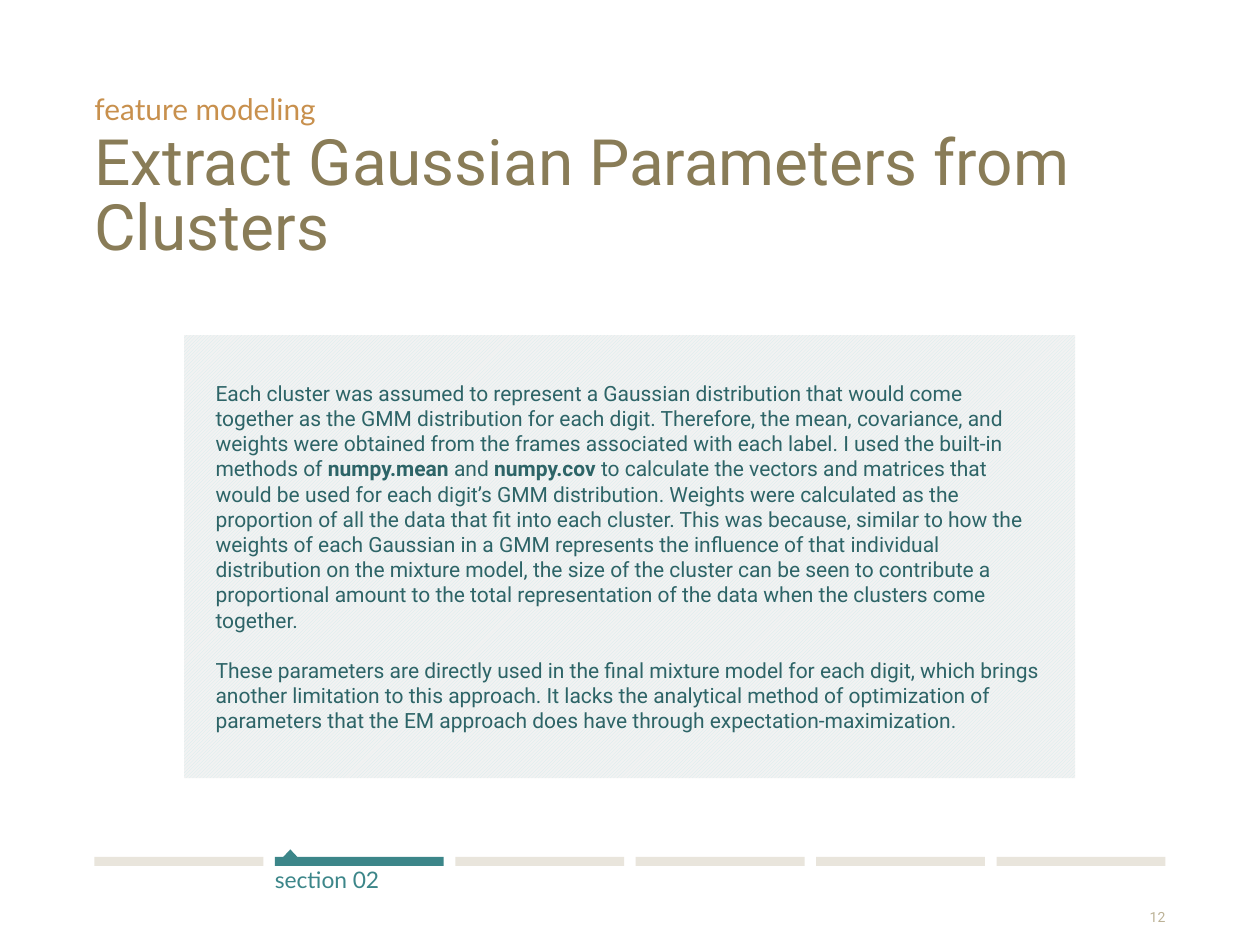
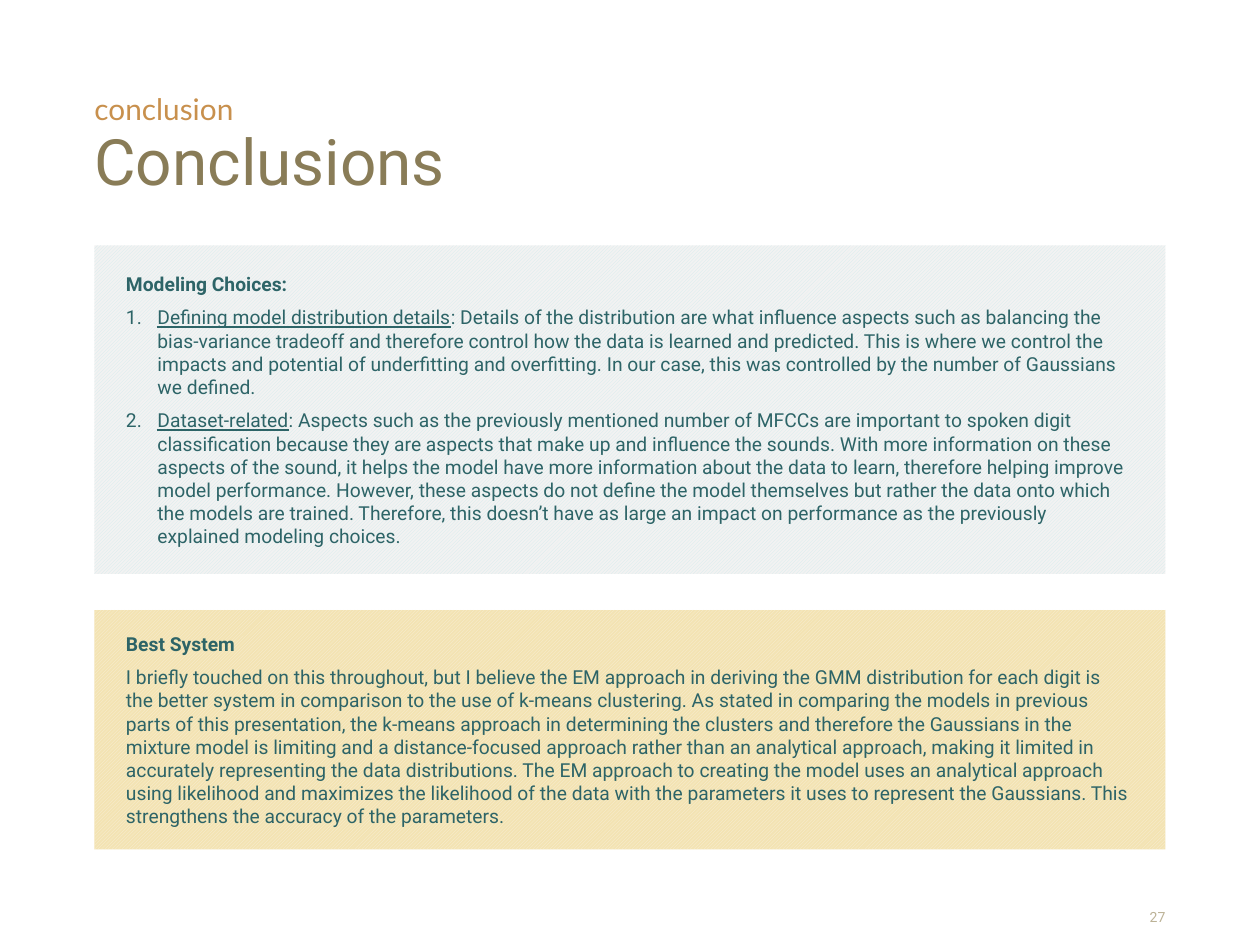
from dataclasses import dataclass

from pptx import Presentation
from pptx.dml.color import RGBColor
from pptx.enum.dml import MSO_PATTERN as Pattern
from pptx.enum.shapes import MSO_SHAPE as Form
from pptx.enum.text import MSO_ANCHOR as Anchor, PP_ALIGN as Align
from pptx.shapes.autoshape import Shape
from pptx.slide import Slide
from pptx.text.text import TextFrame
from pptx.util import Pt
from lxml.etree import SubElement
from pptx.oxml.ns import qn

OLIVE = RGBColor(0x89, 0x7C, 0x57)
ORANGE = RGBColor(0xC8, 0x90, 0x4D)
TEAL = RGBColor(0x3C, 0x86, 0x89)
INK = RGBColor(0x2D, 0x64, 0x67)
SAND = RGBColor(0xE9, 0xE5, 0xDC)
STONE = RGBColor(0xBC, 0xB2, 0x96)
MIST = RGBColor(0xF2, 0xF2, 0xF2)
AQUA = RGBColor(0xD3, 0xEB, 0xEC)
GOLD = RGBColor(0xF3, 0xE3, 0xB3)
CREAM = RGBColor(0xF9, 0xF1, 0xD9)

LEFT, WIDTH = 54, 612
BAR_TOP, BAR_TALL, BAR_GAP, BAR_COUNT = 489.6, 5.2, 6.6, 6
BAR_WIDE = (WIDTH - BAR_GAP * (BAR_COUNT - 1)) / BAR_COUNT
MARK_WIDE, MARK_TALL = 17.6, 9.4


@dataclass(frozen=True)
class Area:
    left: float
    top: float
    width: float
    height: float

    def lengths(self) -> list[Pt]:
        return [Pt(v) for v in (self.left, self.top, self.width, self.height)]


@dataclass(frozen=True)
class Style:
    size: float
    color: RGBColor
    font: str = "Roboto"
    line: float | None = None
    align: Align | None = None
    anchor: Anchor = Anchor.TOP


@dataclass(frozen=True)
class Piece:
    text: str
    bold: bool = False
    under: bool = False


@dataclass(frozen=True)
class Para:
    pieces: tuple[Piece, ...]
    after: float = 6
    number: bool = False


@dataclass(frozen=True)
class Panel:
    area: Area
    back: RGBColor
    stripe: RGBColor
    size: float
    paras: tuple[Para, ...]


@dataclass(frozen=True)
class Page:
    topic: str
    title: str
    number: int
    panels: tuple[Panel, ...]
    section: int | None = None


TITLE = Style(36.5, OLIVE, line=0.85)
TOPIC = Style(17, ORANGE, "Lato", line=0.85)
LABEL = Style(13, TEAL, "Lato")
NUMBER = Style(8, STONE, align=Align.RIGHT, anchor=Anchor.BOTTOM)

PAGES = (
    Page(
        "feature modeling", "Extract Gaussian Parameters from Clusters", 12,
        (Panel(Area(105.2, 191.5, 509.2, 253.2), MIST, AQUA, 12, (
            Para((
                Piece("Each cluster was assumed to represent a Gaussian distribution that would "
                      "come together as the GMM distribution for each digit. Therefore, the mean, "
                      "covariance, and weights were obtained from the frames associated with each "
                      "label. I used the built-in methods of "),
                Piece("numpy.mean ", bold=True),
                Piece("and "),
                Piece("numpy.cov ", bold=True),
                Piece("to calculate the vectors and matrices that would be used for each digit’s "
                      "GMM distribution. Weights were calculated as the proportion of all the data "
                      "that fit into each cluster. This was because, similar to how the weights of "
                      "each Gaussian in a GMM represents the influence of that individual "
                      "distribution on the mixture model, the size of the cluster can be seen to "
                      "contribute a proportional amount to the total representation of the data "
                      "when the clusters come together."),
            ), after=14.4),
            Para((
                Piece("These parameters are directly used in the final mixture model for each "
                      "digit, which brings another limitation to this approach. It lacks the "
                      "analytical method of optimization of parameters that the EM approach does "
                      "have through expectation-maximization."),
            ), after=0),
        )),),
        section=2,
    ),
    Page(
        "conclusion", "Conclusions", 27,
        (
            Panel(Area(LEFT, 140.3, WIDTH, 187.7), MIST, AQUA, 11, (
                Para((Piece("Modeling Choices:", bold=True),)),
                Para((
                    Piece("Defining model distribution details", under=True),
                    Piece(": Details of the distribution are what influence aspects such as "
                          "balancing the bias-variance tradeoff and therefore control how the data "
                          "is learned and predicted. This is where we control the impacts and "
                          "potential of underfitting and overfitting. In our case, this was "
                          "controlled by the number of Gaussians we defined."),
                ), number=True),
                Para((
                    Piece("Dataset-related", under=True),
                    Piece(": Aspects such as the previously mentioned number of MFCCs are "
                          "important to spoken digit classification because they are aspects that "
                          "make up and influence the sounds. With more information on these "
                          "aspects of the sound, it helps the model have more information about "
                          "the data to learn, therefore helping improve model performance. "
                          "However, these aspects do not define the model themselves but rather "
                          "the data onto which the models are trained. Therefore, this doesn’t "
                          "have as large an impact on performance as the previously explained "
                          "modeling choices."),
                ), number=True),
            )),
            Panel(Area(LEFT, 348.6, WIDTH, 136.8), GOLD, CREAM, 11, (
                Para((Piece("Best System", bold=True),)),
                Para((
                    Piece("I briefly touched on this throughout, but I believe the EM approach in "
                          "deriving the GMM distribution for each digit is the better system in "
                          "comparison to the use of k-means clustering. As stated in comparing the "
                          "models in previous parts of this presentation, the k-means approach in "
                          "determining the clusters and therefore the Gaussians in the mixture "
                          "model is limiting and a distance-focused approach rather than an "
                          "analytical approach, making it limited in accurately representing the "
                          "data distributions. The EM approach to creating the model uses an "
                          "analytical approach using likelihood and maximizes the likelihood of "
                          "the data with the parameters it uses to represent the Gaussians. This "
                          "strengthens the accuracy of the parameters."),
                )),
            )),
        ),
    ),
)


def set_frame(frame: TextFrame, inset: float, anchor: Anchor) -> None:
    frame.word_wrap = True
    frame.vertical_anchor = anchor
    frame.margin_left = frame.margin_right = Pt(inset)
    frame.margin_top = frame.margin_bottom = Pt(inset)


def add_label(slide: Slide, area: Area, text: str, style: Style) -> None:
    frame = slide.shapes.add_textbox(*area.lengths()).text_frame
    set_frame(frame, 0, style.anchor)
    para = frame.paragraphs[0]
    para.alignment = style.align
    para.line_spacing = style.line
    run = para.add_run()
    run.text = text
    run.font.name, run.font.size = style.font, Pt(style.size)
    run.font.color.rgb = style.color


def paint(shape: Shape, color: RGBColor) -> None:
    shape.shadow.inherit = False
    shape.fill.solid()
    shape.fill.fore_color.rgb = color
    shape.line.fill.background()


def add_panel(slide: Slide, panel: Panel) -> None:
    shape = slide.shapes.add_shape(Form.RECTANGLE, *panel.area.lengths())
    shape.shadow.inherit = False
    shape.line.fill.background()
    shape.fill.patterned()
    shape.fill.pattern = Pattern.DARK_UPWARD_DIAGONAL
    shape.fill.fore_color.rgb = panel.stripe
    shape.fill.back_color.rgb = panel.back
    frame = shape.text_frame
    set_frame(frame, 18, Anchor.MIDDLE)
    for i, item in enumerate(panel.paras):
        para = frame.add_paragraph() if i else frame.paragraphs[0]
        para.alignment = Align.LEFT
        para.space_after = Pt(item.after)
        if item.number:
            props = para._p.get_or_add_pPr()
            props.set("marL", str(Pt(18)))
            props.set("indent", str(-Pt(18)))
            SubElement(props, qn("a:buAutoNum"), type="arabicPeriod")
        for piece in item.pieces:
            run = para.add_run()
            run.text = piece.text
            font = run.font
            font.name, font.size = "Roboto", Pt(panel.size)
            font.bold, font.underline = piece.bold, piece.under
            font.color.rgb = INK


def add_track(slide: Slide, section: int) -> None:
    """Draw the row of section bars, with the current one marked and named."""
    for i in range(BAR_COUNT):
        left = LEFT + i * (BAR_WIDE + BAR_GAP)
        area = Area(left, BAR_TOP, BAR_WIDE, BAR_TALL)
        bar = slide.shapes.add_shape(Form.RECTANGLE, *area.lengths())
        active = i + 1 == section
        paint(bar, TEAL if active else SAND)
        if active:
            base = BAR_TOP + BAR_TALL
            pen = slide.shapes.build_freeform(Pt(left), Pt(base))
            pen.add_line_segments([
                (Pt(left + MARK_WIDE / 2), Pt(base - MARK_TALL)),
                (Pt(left + MARK_WIDE), Pt(base)),
            ])
            paint(pen.convert_to_shape(), TEAL)
            add_label(slide, Area(left, base, BAR_WIDE, 15.6), f"section {section:02}", LABEL)


def add_page(deck: Presentation, page: Page) -> None:
    slide = deck.slides.add_slide(deck.slide_layouts[6])
    add_label(slide, Area(643, 519, 23, 9.6), str(page.number), NUMBER)
    add_label(slide, Area(LEFT, 76.4, WIDTH, 72), page.title, TITLE)
    add_label(slide, Area(LEFT, 54.7, WIDTH, 35.3), page.topic, TOPIC)
    for panel in page.panels:
        add_panel(slide, panel)
    if page.section:
        add_track(slide, page.section)


def main() -> None:
    deck = Presentation()
    deck.slide_width, deck.slide_height = Pt(720), Pt(540)
    for page in PAGES:
        add_page(deck, page)
    deck.save("out.pptx")


if __name__ == "__main__":
    main()
